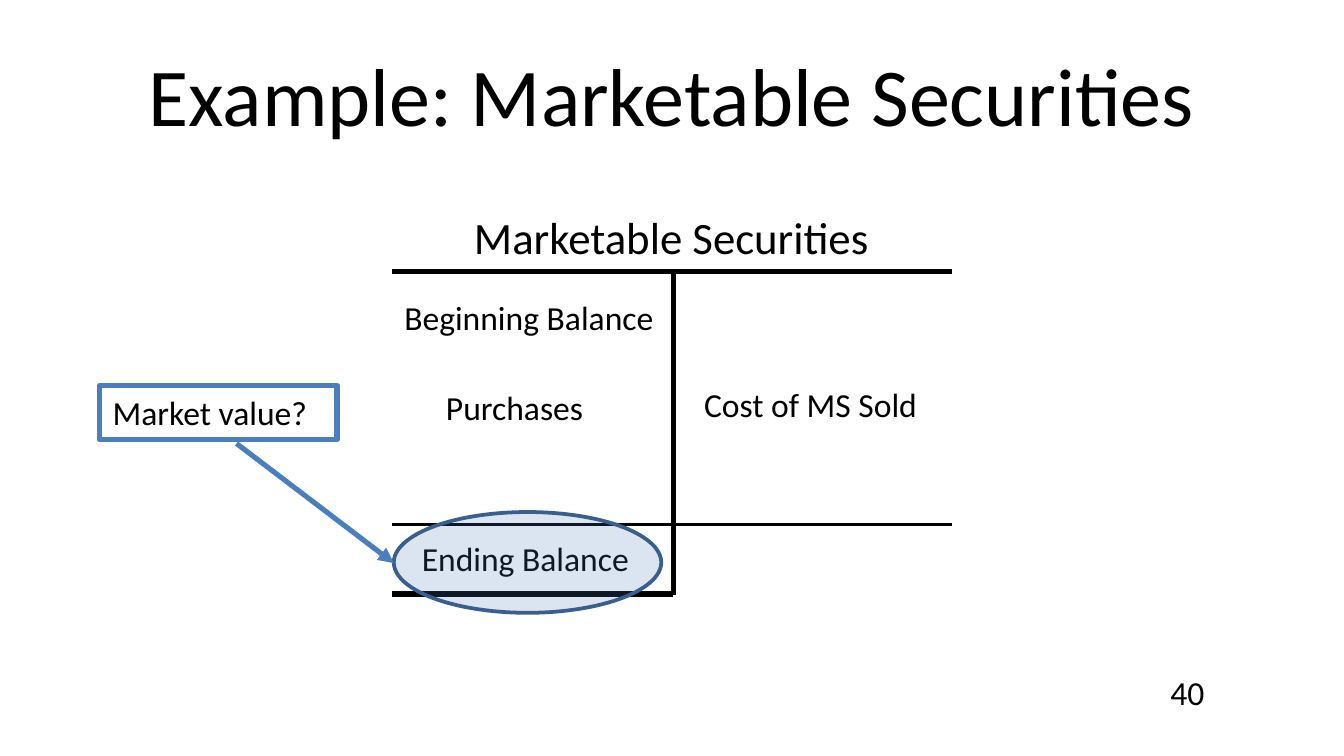
from lxml.etree import SubElement
from pptx import Presentation
from pptx.dml.color import RGBColor
from pptx.enum.shapes import MSO_CONNECTOR, MSO_SHAPE
from pptx.enum.text import MSO_ANCHOR, PP_ALIGN
from pptx.oxml.ns import qn
from pptx.util import Pt

PX = 9144
BLACK = RGBColor(0x00, 0x00, 0x00)
BLUE = RGBColor(0x4B, 0x7E, 0xBC)
ELLIPSE_FILL = RGBColor(0x4F, 0x81, 0xBD)
ELLIPSE_LINE = RGBColor(0x3A, 0x5F, 0x8C)

LEFT, MIDDLE, RIGHT = 292, 501, 708
TOP, TOTAL, BOTTOM = 202, 390, 442

TITLE = ("Example: Marketable Securities", (50, 23, 900, 94), 44)
ACCOUNT = ("Marketable Securities", (291, 151, 417, 50), 24)
LABELS = [
    ("40", (861, 495, 59, 30)),
    ("Beginning Balance", (291, 216, 208, 40)),
    ("Ending Balance", (304, 395, 176, 40)),
    ("Purchases", (322, 283, 123, 40)),
    ("Cost of MS Sold", (514, 281, 180, 40)),
]
RULES = [
    ((LEFT, TOP), (RIGHT, TOP), 3),
    ((MIDDLE, TOP), (MIDDLE, BOTTOM + 1), 3),
    ((LEFT, TOTAL), (RIGHT, TOTAL), 1.5),
    ((LEFT, BOTTOM), (MIDDLE, BOTTOM), 3),
]
QUESTION = ("Market value?", (74, 287, 177, 40))
HIGHLIGHT = (293, 381, 199, 75)
ARROW = ((176, 330), (293, 419), 2.75)


def emu(values):
    return [v * PX for v in values]


def write(sp, text, size=18, align=PP_ALIGN.LEFT, anchor=MSO_ANCHOR.TOP, wrap=True):
    tf = sp.text_frame
    tf.word_wrap = wrap
    tf.vertical_anchor = anchor
    tf.text = text
    p = tf.paragraphs[0]
    p.alignment = align
    font = p.runs[0].font
    font.name, font.size = "Calibri", Pt(size)
    font.color.rgb = BLACK


def add_line(s, start, end, width, color=BLACK):
    line = s.shapes.add_connector(MSO_CONNECTOR.STRAIGHT, *emu(start + end))
    line.line.color.rgb = color
    line.line.width = Pt(width)
    SubElement(line._element.spPr, qn("a:effectLst"))
    return line


def add_outlined(s, shape, box, color, width):
    sp = s.shapes.add_shape(shape, *emu(box))
    sp.shadow.inherit = False
    sp.line.color.rgb = color
    sp.line.width = Pt(width)
    return sp


prs = Presentation()
prs.slide_width = 1000 * PX
prs.slide_height = prs.slide_width * 9 // 16
s = prs.slides.add_slide(prs.slide_layouts[6])

for (text, box, size), anchor in ((TITLE, MSO_ANCHOR.MIDDLE), (ACCOUNT, MSO_ANCHOR.TOP)):
    write(s.shapes.add_textbox(*emu(box)), text, size, PP_ALIGN.CENTER, anchor)

for text, box in LABELS:
    write(s.shapes.add_textbox(*emu(box)), text, wrap=False)

for start, end, width in RULES:
    add_line(s, start, end, width)

ellipse = add_outlined(s, MSO_SHAPE.OVAL, HIGHLIGHT, ELLIPSE_LINE, 2)
ellipse.fill.solid()
ellipse.fill.fore_color.rgb = ELLIPSE_FILL
color = ellipse._element.spPr.find(qn("a:solidFill")).find(qn("a:srgbClr"))
SubElement(color, qn("a:alpha"), val="20000")

arrow = add_line(s, *ARROW, BLUE)
SubElement(arrow._element.spPr.find(qn("a:ln")), qn("a:tailEnd"), type="triangle")

text, box = QUESTION
question = add_outlined(s, MSO_SHAPE.RECTANGLE, box, BLUE, 3)
question.fill.background()
write(question, text)

prs.save("out.pptx")
